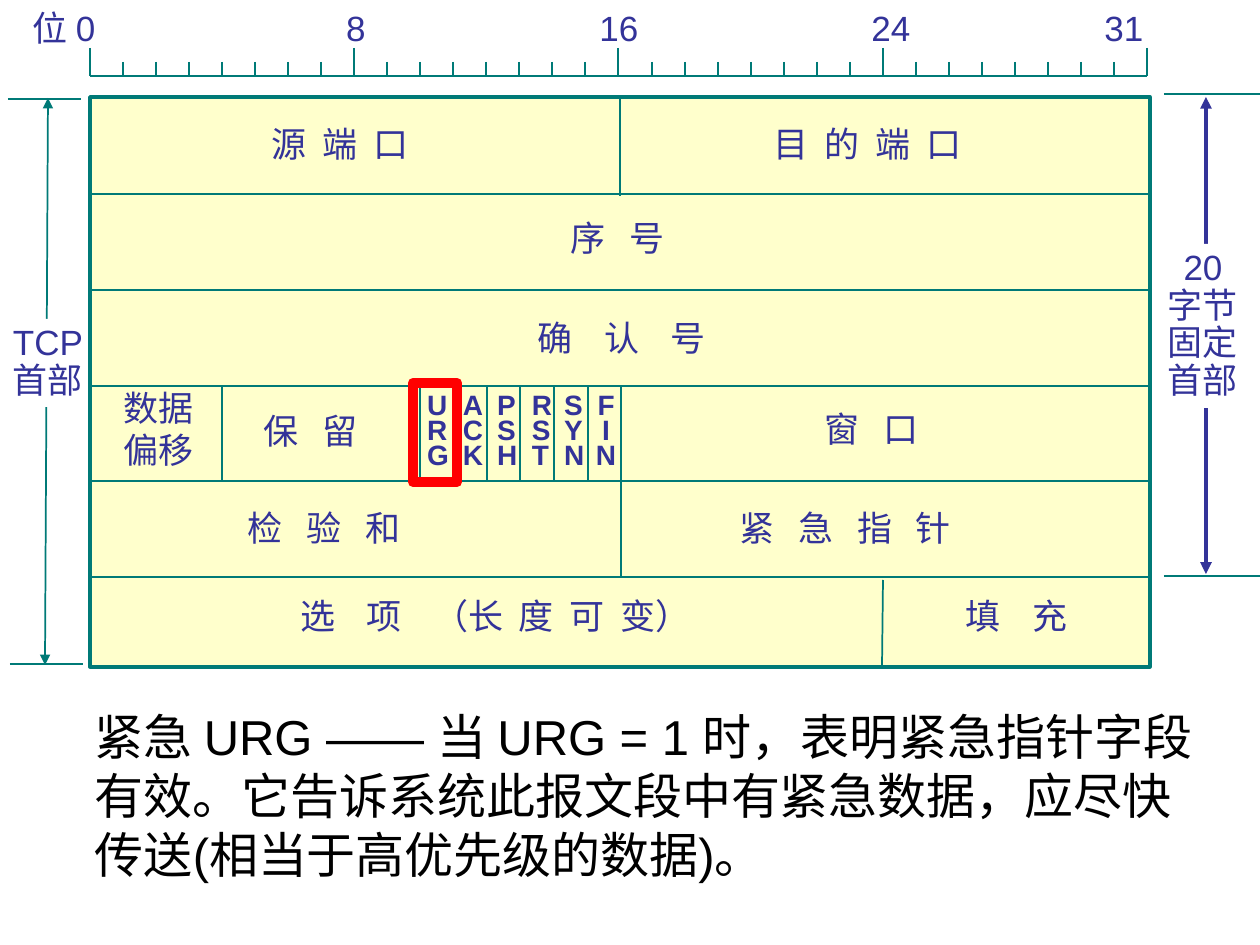
import pptx
import pptx.dml.color
import pptx.enum.shapes
import pptx.enum.text
import pptx.oxml
import pptx.oxml.ns
import pptx.util

RGBColor = pptx.dml.color.RGBColor
ALIGN = pptx.enum.text.PP_ALIGN
TEAL = RGBColor(0x00, 0x7A, 0x77)
NAVY = RGBColor(0x33, 0x33, 0x99)
CREAM = RGBColor(0xFF, 0xFF, 0xCC)
WHITE = RGBColor(0xFF, 0xFF, 0xFF)
BLACK = RGBColor(0, 0, 0)
RED = RGBColor(0xFF, 0, 0)
# Letter spacing in points for the spaced-out field names
NARROW, MEDIUM, WIDE = 2.25, 4.5, 6.75


def px(n):
    return pptx.util.Emu(round(n * 914400 / 126))


def sub(parent, tag, **attrs):
    child = pptx.oxml.parse_xml(f"<a:{tag} {pptx.oxml.ns.nsdecls('a')}/>")
    for name, value in attrs.items():
        child.set(name, str(value))
    parent.append(child)
    return child


def add_run(p, text, size=20, color=NAVY, bold=False, spacing=0, font="Arial"):
    r = p.add_run()
    r.text = text
    r.font.name = font
    r.font.size = pptx.util.Pt(size)
    r.font.bold = bold
    r.font.color.rgb = color
    if spacing:
        r._r.get_or_add_rPr().set("spc", str(round(spacing * 100)))


class HeaderSlide:
    def __init__(self, prs):
        self.shapes = prs.slides.add_slide(prs.slide_layouts[6]).shapes

    def rect(self, x, y, w, h, fill=None, line=None, width=1):
        sp = self.shapes.add_shape(pptx.enum.shapes.MSO_SHAPE.RECTANGLE,
                                   px(x), px(y), px(w), px(h))
        sp.shadow.inherit = False
        if fill is None:
            sp.fill.background()
        else:
            sp.fill.solid()
            sp.fill.fore_color.rgb = fill
        sp.line.color.rgb = line
        sp.line.width = pptx.util.Pt(width)
        return sp

    def line(self, x1, y1, x2, y2, color=TEAL, width=1, arrows=False):
        cn = self.shapes.add_connector(pptx.enum.shapes.MSO_CONNECTOR.STRAIGHT,
                                       px(x1), px(y1), px(x2), px(y2))
        cn.line.color.rgb = color
        cn.line.width = pptx.util.Pt(width)
        if arrows:
            ln = cn.line._get_or_add_ln()
            sub(ln, "headEnd", type="triangle")
            sub(ln, "tailEnd", type="triangle")
        sub(cn._element.spPr, "effectLst")
        return cn

    def text(self, x, y, w, h, paragraphs, align=ALIGN.LEFT, leading=None,
             tabs=(), fill=None, **style):
        """Each paragraph is a string or a list of (string, letter spacing)."""
        sp = self.shapes.add_textbox(px(x), px(y), px(w), px(h))
        if fill is not None:
            sp.fill.solid()
            sp.fill.fore_color.rgb = fill
        tf = sp.text_frame
        tf.word_wrap = True
        tf.margin_left = tf.margin_right = 0
        tf.margin_top = tf.margin_bottom = px(6)
        for i, content in enumerate(paragraphs):
            p = tf.add_paragraph() if i else tf.paragraphs[0]
            if tabs:
                tab_list = sub(p._p.get_or_add_pPr(), "tabLst")
                for tab in tabs:
                    sub(tab_list, "tab", pos=px(tab), algn="ctr")
            p.alignment = align
            p.line_spacing = leading
            if isinstance(content, str):
                add_run(p, content, **style)
            else:
                for string, spacing in content:
                    add_run(p, string, spacing=spacing, **style)


def draw_ruler(s):
    s.text(33, 0, 1147, 54, ["位 0\t8\t16\t24\t31"], tabs=[323, 586, 858, 1091])
    s.line(90, 76, 1147, 76)
    for bit in range(33):
        x = round(90 + bit * 1057 / 32)
        s.line(x, 48 if bit % 8 == 0 else 62, x, 76)


def draw_header(s):
    table = s.rect(90, 97, 1060, 570, CREAM, TEAL, 2)
    for row in range(5):
        y = round(194 + 95.75 * row)
        s.line(90, y, 1150, y)
    s.line(620, 97, 620, 196).begin_connect(table, 0)
    s.line(621, 387, 621, 576)
    s.line(222, 387, 222, 482)
    s.line(883, 580, 882, 667)
    for i in range(6):
        x = round(420 + 33.5 * i)
        s.line(x, 387, x, 481)

    fields = [
        (272, 116, "源 端 口", NARROW),
        (774, 116, "目 的 端 口", NARROW),
        (571, 210, "序 号", MEDIUM),
        (538, 310, "确 认 号", WIDE),
        (264, 403, "保 留", MEDIUM),
        (825, 401, "窗 口", MEDIUM),
        (248, 500, "检 验 和", MEDIUM),
        (740, 500, "紧 急 指 针", MEDIUM),
        (966, 588, "填 充", WIDE),
    ]
    for x, y, name, spacing in fields:
        s.text(x, y, 240, 54, [[(name, spacing)]])
    s.text(300, 588, 420, 54, [[("选 项 ", WIDE), ("（", 0),
                                ("长 度 可 ", NARROW), ("变）", 0)]])
    s.text(124, 381, 75, 96, ["数据", "偏移"])

    flags = {"URG": 427, "ACK": 463, "PSH": 497, "RST": 532, "SYN": 564, "FIN": 591}
    for flag, x in flags.items():
        s.text(x, 389, 30, 88, list(flag), leading=0.75, size=16, bold=True,
               align=ALIGN.CENTER if flag == "FIN" else ALIGN.LEFT)
    s.rect(413, 383, 44, 99, line=RED, width=6)


def draw_extents(s):
    s.line(48, 98, 45, 665, arrows=True)
    s.line(8, 99, 81, 99)
    s.line(10, 664, 83, 664)
    s.line(1206, 97, 1206, 574, NAVY, 2.25, arrows=True)
    for y in (94, 576):
        s.line(1164, y, 1260, y)
    labels = [(0, 319, 88, ["TCP", "首部"]),
              (1155, 244, 164, ["20", "字节", "固定", "首部"])]
    for x, y, h, lines in labels:
        s.text(x, y, 96, h, lines, ALIGN.CENTER, 0.9, fill=WHITE)


def main():
    prs = pptx.Presentation()
    prs.slide_width, prs.slide_height = px(1260), px(945)
    s = HeaderSlide(prs)
    draw_extents(s)
    draw_ruler(s)
    draw_header(s)
    s.text(95, 701, 1099, 189,
           ["紧急 URG —— 当 URG = 1 时，表明紧急指针字段有效。它告诉系统此报文段中"
            "有紧急数据，应尽快传送(相当于高优先级的数据)。"], size=28, color=BLACK)
    prs.save("out.pptx")


if __name__ == "__main__":
    main()
